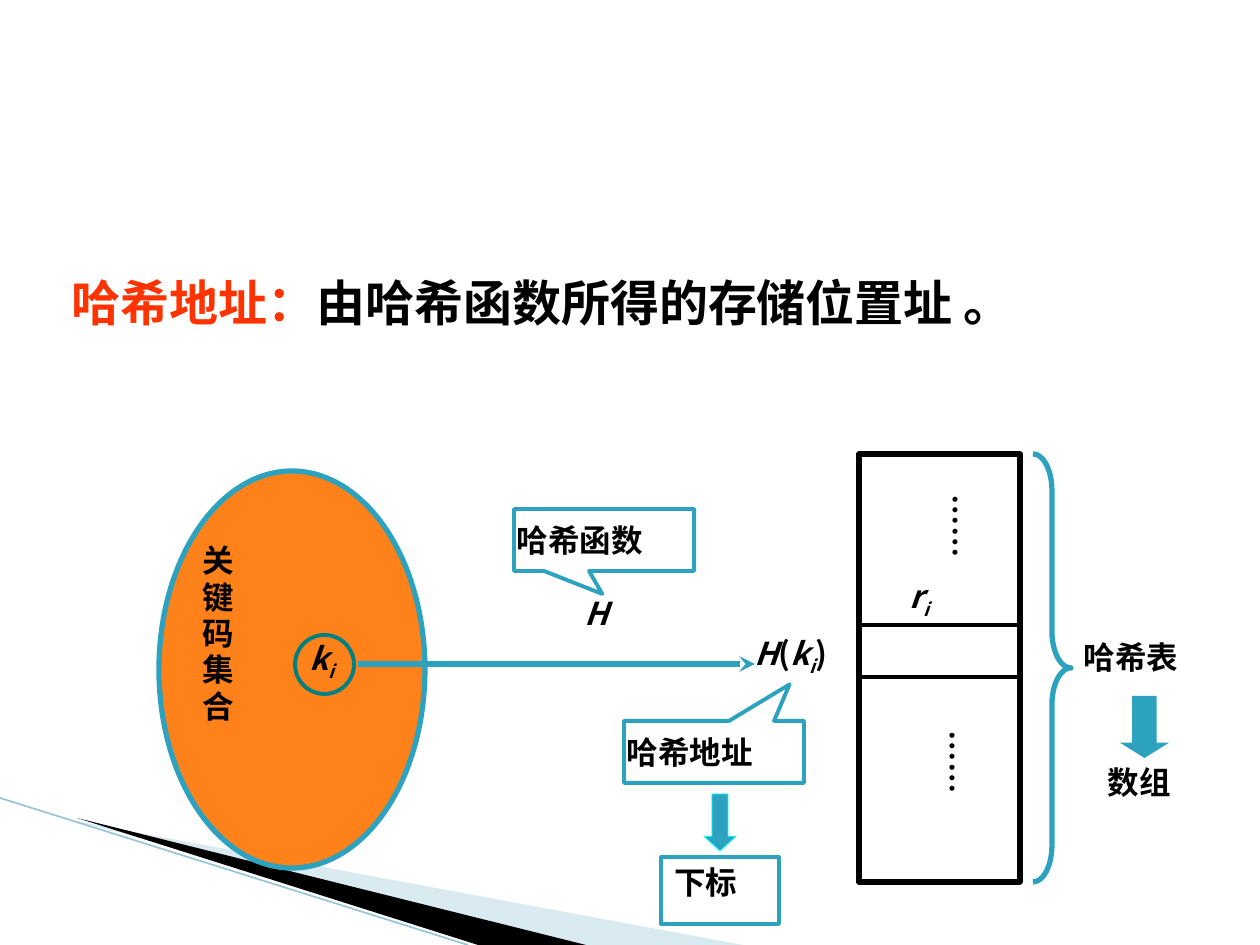
from dataclasses import dataclass

from lxml.etree import SubElement
from pptx import Presentation
from pptx.dml.color import RGBColor as RGB
from pptx.enum.shapes import MSO_CONNECTOR as LINK, MSO_SHAPE as KIND
from pptx.enum.text import MSO_ANCHOR as ANCHOR, MSO_AUTO_SIZE as FIT, PP_ALIGN as ALIGN
from pptx.oxml.ns import qn
from pptx.util import Pt

PX = 914400 / 126
WIDE, HIGH = 1260, 945


@dataclass(frozen=True)
class Theme:
    font: str = "Noto Sans CJK SC"
    head: int = 28
    body: int = 18
    ink: str = "000000"
    red: str = "FF3300"
    teal: str = "2DA2BF"
    ring: str = "008080"
    glow: str = "00FFFF"
    fill: str = "FF8119"
    pale: str = "A0CBDC"
    edge: str = "97C5D8"
    thick: float = 3
    thin: float = 2.25


T = Theme()
INSET = (13, 6, 13, 6)
TIGHT = (3, 0, 3, 0)
SNUG = (3, 1, 3, 1)
KEY = [("k", "i"), ("i", "is")]


def emu(*nums):
    return [round(n * PX) for n in nums]


def paint(shape, fill=None, line=None, width=T.thick):
    shape.shadow.inherit = False
    if fill:
        shape.fill.solid()
        shape.fill.fore_color.rgb = RGB.from_string(fill)
    else:
        shape.fill.background()
    if line:
        shape.line.color.rgb = RGB.from_string(line)
        shape.line.width = Pt(width)
    else:
        shape.line.fill.background()


def write(frame, runs, size=T.body, inset=TIGHT, align=ALIGN.LEFT,
          space=None, anchor=ANCHOR.TOP):
    """Fill a frame with (text, marks, colour) runs; marks: i italic, s subscript."""
    frame.word_wrap = True
    frame.auto_size = FIT.NONE
    frame.vertical_anchor = anchor
    (frame.margin_left, frame.margin_top,
     frame.margin_right, frame.margin_bottom) = emu(*inset)
    para = frame.paragraphs[0]
    para.alignment = align
    para.line_spacing = space
    for text, marks, *hue in runs:
        run = para.add_run()
        run.text = text
        font = run.font
        font.name, font.size, font.bold = T.font, Pt(size), True
        font.italic = "i" in marks
        font.color.rgb = RGB.from_string(hue[0] if hue else T.ink)
        props = run._r.get_or_add_rPr()
        SubElement(props, qn("a:ea")).set("typeface", T.font)
        if "s" in marks:
            props.set("baseline", "-25000")


def label(slide, box, runs, **style):
    text = slide.shapes.add_textbox(*emu(*box)).text_frame
    write(text, runs, **style)
    return text


def form(slide, kind, box, adj=(), **style):
    shape = slide.shapes.add_shape(kind, *emu(*box))
    for i, num in enumerate(adj):
        shape.adjustments[i] = num
    paint(shape, **style)
    return shape


def rule(slide, start, end, color, width, arrow=False):
    line = slide.shapes.add_connector(LINK.STRAIGHT, *emu(*start, *end))
    line.line.color.rgb = RGB.from_string(color)
    line.line.width = Pt(width)
    props = line._element.spPr
    if arrow:
        SubElement(props.find(qn("a:ln")), qn("a:tailEnd")).set("type", "stealth")
    SubElement(props, qn("a:effectLst"))


def wedge(slide, points, color, alpha=None):
    pen = slide.shapes.build_freeform(*points[0], scale=PX)
    pen.add_line_segments(points[1:], close=True)
    shape = pen.convert_to_shape()
    paint(shape, fill=color)
    if alpha:
        tone = shape._element.spPr.find(qn("a:solidFill"))[0]
        SubElement(tone, qn("a:alpha")).set("val", str(alpha * 1000))


def decor(slide, box):
    x, y, w, h = box
    low = y + h
    wedge(slide, [(x + 69, y + 22), (x + w, low), (x + 575, low)], T.pale, 40)
    wedge(slide, [(x + 77, y + 20), (x + 586, low), (x + 478, low)], T.ink)
    rule(slide, (x, y), (x + 468, low), T.edge, 0.95)


def heading(slide, box):
    title = slide.shapes.title
    title.left, title.top, title.width, title.height = emu(*box)
    write(title.text_frame,
          [("哈希地址：", "", T.red), ("由哈希函数所得的存储位置址 。", "")],
          size=T.head, inset=INSET)


def keys(slide, box):
    x, y, w, h = box
    form(slide, KIND.OVAL, box, fill=T.fill, line=T.teal)
    label(slide, (x + 41, y + 73, 43, 242), [("关键码集合", "")],
          align=ALIGN.JUSTIFY, space=0.96)
    label(slide, (x + 148, y + 168, 50, 45), KEY, space=0.96)
    form(slide, KIND.OVAL, (x + 136, y + 164, 59, 59), line=T.ring, width=T.thin)


def callout(slide, box, word, adj):
    shape = form(slide, KIND.RECTANGULAR_CALLOUT, box, adj, line=T.teal, width=T.thin)
    write(shape.text_frame, [(word, "")], inset=SNUG, anchor=ANCHOR.MIDDLE)


def mapping(slide, box):
    """The hash function arrow, with its address and index below."""
    x, y, w, h = box
    rule(slide, (x, y + 155), (x + w, y + 155), T.teal, T.thick, arrow=True)
    callout(slide, (x + 156, y, 180, 62), "哈希函数", (-0.01, 0.87))
    label(slide, (x + 104, y + 87, 268, 47), [("H", "i")],
          align=ALIGN.CENTER, space=0.96)
    label(slide, (x + 394, y + 125, 102, 35),
          [("H", "i"), ("(", ""), *KEY, (")", "")], space=0.96)
    callout(slide, (x + 266, y + 212, 180, 62), "哈希地址", (0.42, -1.09))
    form(slide, KIND.DOWN_ARROW, (x + 346, y + 285, 32, 57), (0.5, 0.46),
         fill=T.teal, line=T.glow, width=0.5)
    index = form(slide, KIND.RECTANGLE, (x + 303, y + 348, 118, 67),
                 line=T.teal, width=T.thin)
    write(index.text_frame, [("下标", "")], inset=INSET)


def store(slide, box):
    """The hash table column, with its brace and names on the right."""
    x, y, w, h = box
    form(slide, KIND.RECTANGLE, box, line=T.ink)
    for drop in (171, 223):
        rule(slide, (x, y + drop), (x + w, y + drop), T.ink, T.thin)
    label(slide, (x + 48, y + 123, 60, 45), [("r", "i"), ("i", "is")], space=0.96)
    for left, drop in ((70, 36), (67, 272)):
        dots = label(slide, (x + left, y + drop, 47, 113), [("……", "")],
                     inset=(3, 5, 3, 0), space=0.96)
        dots._txBody.bodyPr.set("vert", "eaVert")
    form(slide, KIND.RIGHT_BRACE, (x + 174, y, 38, h), (0.96, 0.5), line=T.teal)
    label(slide, (x + 212, y + 178, 152, 63), [("哈希表", "")], inset=INSET)
    form(slide, KIND.DOWN_ARROW, (x + 261, y + 242, 49, 62), (0.5, 0.31), fill=T.teal)
    label(slide, (x + 236, y + 303, 112, 63), [("数组", "")], inset=INSET)


def main():
    deck = Presentation()
    deck.slide_width, deck.slide_height = emu(WIDE, HIGH)
    slide = deck.slides.add_slide(deck.slide_layouts[5])
    decor(slide, (0, 798, 743, 147))
    heading(slide, (59, 267, 1155, 72))
    keys(slide, (159, 471, 266, 397))
    mapping(slide, (358, 509, 397, 415))
    store(slide, (859, 454, 161, 428))
    deck.save("out.pptx")


if __name__ == "__main__":
    main()
